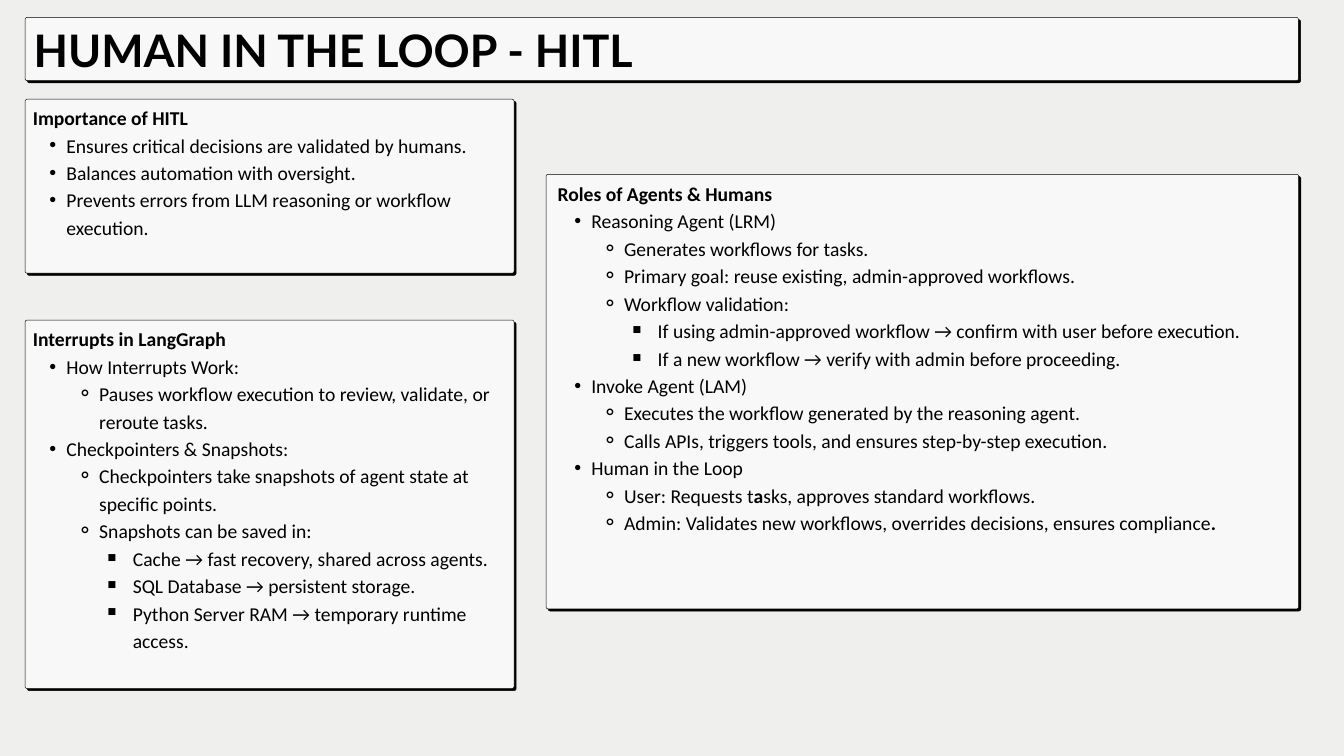
from lxml.etree import SubElement
from pptx import Presentation
from pptx.dml.color import RGBColor
from pptx.enum.shapes import MSO_SHAPE
from pptx.enum.text import MSO_ANCHOR, MSO_AUTO_SIZE, PP_ALIGN
from pptx.oxml.ns import qn
from pptx.util import Cm, Pt

COLORS = {"background": "EFEFEE", "card": "F8F8F8", "ink": "000000"}
BULLETS = {1: ("•", 1.27, 0.64), 2: ("⚬", 2.51, 0.84), 3: ("￭", 3.78, 0.94)}
SHADOW_OFFSET = 0.08
CORNER = 0.08

TITLE = "HUMAN IN THE LOOP - HITL"
IMPORTANCE = [
    (0, "**Importance of HITL**"),
    (1, "Ensures critical decisions are validated by humans."),
    (1, "Balances automation with oversight."),
    (1, "Prevents errors from LLM reasoning or workflow execution."),
]
ROLES = [
    (0, "**Roles of Agents & Humans**"),
    (1, "Reasoning Agent (LRM)"),
    (2, "Generates workflows for tasks."),
    (2, "Primary goal: reuse existing, admin-approved workflows."),
    (2, "Workflow validation:"),
    (3, "If using admin-approved workflow → confirm with user before execution."),
    (3, "If a new workflow → verify with admin before proceeding."),
    (1, "Invoke Agent (LAM)"),
    (2, "Executes the workflow generated by the reasoning agent."),
    (2, "Calls APIs, triggers tools, and ensures step-by-step execution."),
    (1, "Human in the Loop"),
    (2, "User: Requests t**a**sks, approves standard workflows."),
    (2, "Admin: Validates new workflows, overrides decisions, ensures compliance**.**"),
]
INTERRUPTS = [
    (0, "**Interrupts in LangGraph**"),
    (1, "How Interrupts Work:"),
    (2, "Pauses workflow execution to review, validate, or reroute tasks."),
    (1, "Checkpointers & Snapshots:"),
    (2, "Checkpointers take snapshots of agent state at specific points."),
    (2, "Snapshots can be saved in:"),
    (3, "Cache → fast recovery, shared across agents."),
    (3, "SQL Database → persistent storage."),
    (3, "Python Server RAM → temporary runtime access."),
]


def color(name):
    """Return the named palette colour."""
    return RGBColor.from_string(COLORS[name])


def add_panel(slide, box, fill):
    """Add one rounded rectangle with a fixed corner radius."""
    panel = slide.shapes.add_shape(
        MSO_SHAPE.ROUNDED_RECTANGLE, *(Cm(length) for length in box))
    panel.adjustments[0] = CORNER / min(box[2:])
    panel.shadow.inherit = False
    panel.fill.solid()
    panel.fill.fore_color.rgb = color(fill)
    panel.line.color.rgb = color("ink")
    panel.line.width = Pt(0.5)


def add_card(slide, box):
    """Add a light card with a hard black shadow at its lower right."""
    left, top, width, height = box
    add_panel(slide, (left + SHADOW_OFFSET, top + SHADOW_OFFSET, width, height), "ink")
    add_panel(slide, box, "card")


def place_text(slide, placeholder, box, text_area):
    """Lay a placeholder over a card, with its area measured from the card corner."""
    slide.shapes._spTree.append(placeholder._element)
    dx, dy, width, height = text_area
    placeholder.left, placeholder.top = Cm(box[0] + dx), Cm(box[1] + dy)
    placeholder.width, placeholder.height = Cm(width), Cm(height)
    frame = placeholder.text_frame
    frame.margin_left = frame.margin_right = frame.margin_top = frame.margin_bottom = 0
    frame.word_wrap = True
    frame.auto_size = MSO_AUTO_SIZE.NONE
    frame.vertical_anchor = MSO_ANCHOR.TOP
    return frame


def style_run(run, font_name, size, bold):
    """Set the font of one run."""
    run.font.name = font_name
    run.font.size = Pt(size)
    run.font.bold = bold
    run.font.color.rgb = color("ink")


def style_paragraph(paragraph, line_spacing):
    """Align left with exact line spacing and no gaps."""
    paragraph.alignment = PP_ALIGN.LEFT
    paragraph.line_spacing = Pt(line_spacing)
    paragraph.space_before = paragraph.space_after = Pt(0)


def set_bullet(paragraph, level):
    """Give a paragraph the bullet and hanging indent of its level."""
    properties = paragraph._p.get_or_add_pPr()
    mark, margin, hanging = BULLETS.get(level, (None, 0, 0))
    properties.set("marL", str(Cm(margin)))
    properties.set("indent", str(-Cm(hanging)))
    if mark:
        SubElement(properties, qn("a:buChar")).set("char", mark)
    else:
        SubElement(properties, qn("a:buNone"))


def build_title(slide, box, text_area):
    """Build the heading card across the top."""
    add_card(slide, box)
    frame = place_text(slide, slide.shapes.title, box, text_area)
    frame.text = TITLE
    heading = frame.paragraphs[0]
    style_paragraph(heading, 56.6)
    style_run(heading.runs[0], "Lato", 48, True)


def build_topic(slide, placeholder, box, text_area, lines):
    """Build a card with a bold heading and a nested list."""
    add_card(slide, box)
    frame = place_text(slide, placeholder, box, text_area)
    for index, (level, line) in enumerate(lines):
        paragraph = frame.add_paragraph() if index else frame.paragraphs[0]
        paragraph.level = level
        style_paragraph(paragraph, 29.4)
        set_bullet(paragraph, level)
        for part, words in enumerate(line.split("**")):
            if words:
                run = paragraph.add_run()
                run.text = words
                style_run(run, "Calibri", 21, part % 2 == 1)


def main():
    """Build the slide and save it."""
    deck = Presentation()
    deck.slide_width, deck.slide_height = Cm(50.8), Cm(28.58)
    slide = deck.slides.add_slide(deck.slide_layouts.get_by_name("Comparison"))
    slide.background.fill.solid()
    slide.background.fill.fore_color.rgb = color("background")
    bodies = {body.placeholder_format.idx: body for body in slide.placeholders}

    build_title(slide, (0.95, 0.66, 48.13, 2.39), (0.32, 0.25, 33.73, 1.98))
    build_topic(slide, bodies[1], (0.95, 3.75, 18.48, 6.58),
                (0.29, 0.11, 17.78, 7.29), IMPORTANCE)
    build_topic(slide, bodies[2], (20.64, 6.59, 28.45, 16.43),
                (0.44, 0.14, 27.33, 16.59), ROLES)
    build_topic(slide, bodies[4], (0.95, 12.1, 18.48, 13.93),
                (0.29, 0.12, 17.78, 14.5), INTERRUPTS)

    for body in list(slide.placeholders):
        if not body.text_frame.text:
            slide.shapes._spTree.remove(body._element)
    deck.save("out.pptx")


if __name__ == "__main__":
    main()
